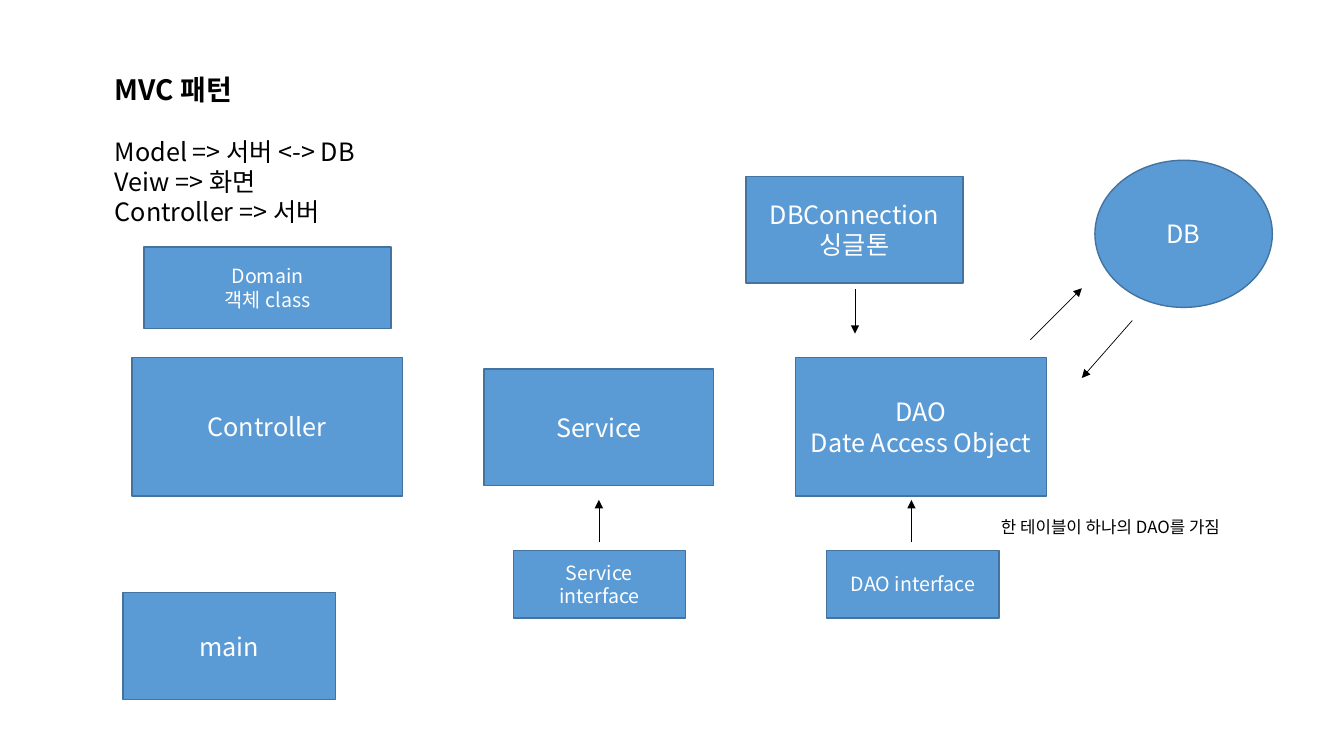
from dataclasses import dataclass

from lxml.etree import SubElement
from pptx import Presentation
from pptx.dml.color import RGBColor
from pptx.enum.shapes import MSO_CONNECTOR, MSO_SHAPE
from pptx.enum.text import MSO_ANCHOR, MSO_AUTO_SIZE, PP_ALIGN
from pptx.oxml.ns import qn
from pptx.slide import Slide
from pptx.text.text import TextFrame
from pptx.util import Inches, Pt


@dataclass(frozen=True)
class Theme:
    font: str = "Noto Sans CJK KR"
    fill: RGBColor = RGBColor(0x5B, 0x9B, 0xD5)
    outline: RGBColor = RGBColor(0x43, 0x73, 0x9E)
    light: RGBColor = RGBColor(0xFF, 0xFF, 0xFF)
    dark: RGBColor = RGBColor(0, 0, 0)
    title: float = 20
    body: float = 18
    small: float = 14
    note: float = 12
    title_gap: float = 21.5
    box_line: float = 1
    arrow_line: float = 0.5


THEME = Theme()


@dataclass(frozen=True)
class Line:
    text: str
    size: float
    bold: bool = False
    gap: float = 0


@dataclass(frozen=True)
class Component:
    lines: tuple[str, ...]
    left: float
    top: float
    width: float
    height: float
    size: float = THEME.body
    preset: MSO_SHAPE = MSO_SHAPE.RECTANGLE


@dataclass(frozen=True)
class Arrow:
    start: tuple[float, float]
    end: tuple[float, float]


@dataclass(frozen=True)
class Caption:
    lines: tuple[Line, ...]
    left: float
    top: float
    width: float
    height: float


# Shared rows of the diagram
LAYER_TOP, LAYER_HEIGHT = 3.55, 1.37
INTERFACE_TOP, INTERFACE_WIDTH, INTERFACE_HEIGHT = 5.46, 1.71, 0.67
INTERFACE_ARROW_FROM, INTERFACE_ARROW_TO = 5.38, 4.96

COMPONENTS = (
    Component(("Domain", "객체 class"), 1.43, 2.45, 2.45, 0.81, THEME.small),
    Component(("Controller",), 1.31, LAYER_TOP, 2.68, LAYER_HEIGHT),
    Component(("main",), 1.22, 5.88, 2.11, 1.06),
    Component(("Service",), 4.8, 3.66, 2.28, 1.16),
    Component(("DAO", "Date Access Object"), 7.89, LAYER_TOP, 2.49, LAYER_HEIGHT),
    Component(("DBConnection", "싱글톤"), 7.4, 1.75, 2.15, 1.06),
    Component(("DB",), 10.86, 1.59, 1.76, 1.46, preset=MSO_SHAPE.OVAL),
    Component(("Service", "interface"), 5.09, INTERFACE_TOP,
              INTERFACE_WIDTH, INTERFACE_HEIGHT, THEME.small),
    Component(("DAO interface",), 8.2, INTERFACE_TOP,
              INTERFACE_WIDTH, INTERFACE_HEIGHT, THEME.small),
)

ARROWS = (
    Arrow((10.22, 3.37), (10.73, 2.86)),
    Arrow((11.23, 3.18), (10.73, 3.75)),
    Arrow((8.48, 2.87), (8.48, 3.31)),
    *(Arrow((x, INTERFACE_ARROW_FROM), (x, INTERFACE_ARROW_TO)) for x in (5.94, 9.04)),
)

CAPTIONS = (
    Caption((
        Line("MVC 패턴", THEME.title, True, THEME.title_gap),
        Line("Model => 서버 <-> DB", THEME.body),
        Line("Veiw => 화면", THEME.body),
        Line("Controller => 서버", THEME.body),
    ), 1.04, 0.67, 3.76, 1.65),
    Caption((Line("한 테이블이 하나의 DAO를 가짐", THEME.note),), 9.83, 5.08, 2.87, 0.3),
)


def write_lines(frame: TextFrame, lines: tuple[Line, ...], color: RGBColor,
                align: PP_ALIGN) -> None:
    frame.word_wrap = True
    for index, line in enumerate(lines):
        para = frame.paragraphs[0] if index == 0 else frame.add_paragraph()
        para.alignment = align
        para.space_after = Pt(line.gap)
        span = para.add_run()
        span.text = line.text
        formats = {"name": THEME.font, "size": Pt(line.size), "bold": line.bold}
        for name, value in formats.items():
            setattr(span.font, name, value)
        span.font.color.rgb = color
        # Korean glyphs take the East Asian typeface
        SubElement(span.font._element, qn("a:ea"), typeface=THEME.font)


def draw_component(page: Slide, item: Component) -> None:
    box = page.shapes.add_shape(
        item.preset, Inches(item.left), Inches(item.top),
        Inches(item.width), Inches(item.height))
    box.shadow.inherit = False
    box.fill.solid()
    box.fill.fore_color.rgb = THEME.fill
    box.line.color.rgb = THEME.outline
    box.line.width = Pt(THEME.box_line)
    box.text_frame.vertical_anchor = MSO_ANCHOR.MIDDLE
    lines = tuple(Line(text, item.size) for text in item.lines)
    write_lines(box.text_frame, lines, THEME.light, PP_ALIGN.CENTER)


def draw_arrow(page: Slide, arrow: Arrow) -> None:
    points = (Inches(value) for value in (*arrow.start, *arrow.end))
    connector = page.shapes.add_connector(MSO_CONNECTOR.STRAIGHT, *points)
    connector.line.color.rgb = THEME.dark
    connector.line.width = Pt(THEME.arrow_line)
    SubElement(connector.line._get_or_add_ln(), qn("a:tailEnd"), type="triangle")
    SubElement(connector._element.spPr, qn("a:effectLst"))


def draw_caption(page: Slide, caption: Caption) -> None:
    box = page.shapes.add_textbox(
        Inches(caption.left), Inches(caption.top),
        Inches(caption.width), Inches(caption.height))
    box.text_frame.auto_size = MSO_AUTO_SIZE.SHAPE_TO_FIT_TEXT
    write_lines(box.text_frame, caption.lines, THEME.dark, PP_ALIGN.LEFT)


def main() -> None:
    deck = Presentation()
    deck.slide_width, deck.slide_height = Inches(13.33), Inches(7.5)
    page = deck.slides.add_slide(deck.slide_layouts[6])

    # Heading and side note
    for caption in CAPTIONS:
        draw_caption(page, caption)
    # Components of the pattern
    for component in COMPONENTS:
        draw_component(page, component)
    # Flow between components
    for arrow in ARROWS:
        draw_arrow(page, arrow)

    deck.save("out.pptx")


if __name__ == "__main__":
    main()
